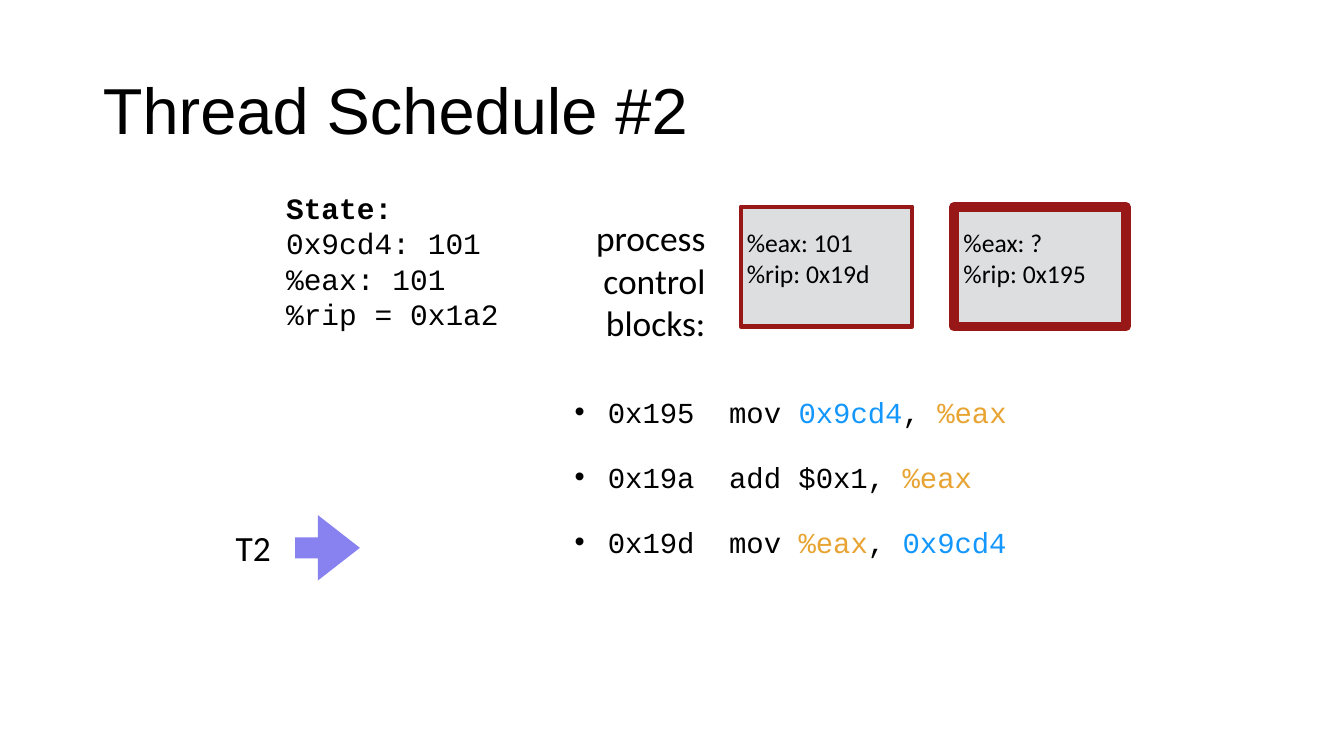
"""Build the slide that shows the second thread schedule."""
from pptx import Presentation
from pptx.dml.color import RGBColor
from pptx.enum.shapes import MSO_SHAPE as Kind
from pptx.enum.text import MSO_ANCHOR as Anchor, MSO_AUTO_SIZE as Fit, PP_ALIGN as Align
from pptx.util import Cm, Pt

BLACK = RGBColor(0x00, 0x00, 0x00)
GREY = RGBColor(0xDC, 0xDE, 0xE0)
RED = RGBColor(0x97, 0x18, 0x17)
VIOLET = RGBColor(0x88, 0x81, 0xF0)
BLUE = RGBColor(0x14, 0x97, 0xFC)
GOLD = RGBColor(0xE8, 0xA4, 0x33)

SIDES = ("margin_left", "margin_top", "margin_right", "margin_bottom")
HUES = {"0x9cd4": BLUE, "%eax": GOLD}


def style(font, face, size, color=BLACK, bold=False):
    form = {"name": face, "size": Pt(size), "bold": bold}
    for key, value in form.items():
        setattr(font, key, value)
    font.color.rgb = color


def label(place, lines, face, size, pad=0.1, anchor=Anchor.MIDDLE, align=Align.LEFT, pitch=None):
    frame = slide.shapes.add_textbox(*map(Cm, place)).text_frame
    form = {"word_wrap": False, "vertical_anchor": anchor, "text": "\n".join(lines)}
    form.update({side: Cm(pad) for side in SIDES})
    for key, value in form.items():
        setattr(frame, key, value)
    for para in frame.paragraphs:
        para.alignment = align
        para.line_spacing = pitch
        style(para.runs[0].font, face, size)
    return frame


deck = Presentation()
deck.slide_width, deck.slide_height = Cm(33.87), Cm(19.05)
slide = deck.slides.add_slide(deck.slide_layouts[1])
title, body = slide.placeholders

spots = ((title, (2.34, 1.02, 29.21, 3.68)), (body, (14.3, 9.83, 15.34, 3.84)))
for holder, place in spots:
    for key, value in zip(("left", "top", "width", "height"), place):
        setattr(holder, key, Cm(value))
    holder.text_frame.auto_size = Fit.NONE

title.text_frame.text = "Thread Schedule #2"
title.text_frame.vertical_anchor = Anchor.MIDDLE
head = title.text_frame.paragraphs[0]
head.alignment = Align.LEFT
head.line_spacing = 0.9
style(head.runs[0].font, "Arial", 46.4)

blocks = (
    (18.67, 3, 0.15, ("%eax: 101", "%rip: 0x19d")),
    (24.05, 7, 0.23, ("%eax: ?", "%rip: 0x195")),
)
for left, weight, shift, lines in blocks:
    block = slide.shapes.add_shape(Kind.RECTANGLE, Cm(left), Cm(5.21), Cm(4.32), Cm(3.02))
    block.shadow.inherit = False
    block.fill.solid()
    block.fill.fore_color.rgb = GREY
    block.line.color.rgb = RED
    block.line.width = Pt(weight)
    label((left + shift, 5.72, 3.12, 1.57), lines, "Calibri", 18.3, 0, Anchor.TOP)

state = label(
    (7.11, 4.67, 5.64, 3.81),
    ("State:", "0x9cd4: 101", "%eax: 101", "%rip = 0x1a2"),
    "Courier New", 21.1, pitch=Pt(25.2),
)
state.paragraphs[0].runs[0].font.bold = True
label((14.88, 5.33, 3, 3.45), ("process", "control", "blocks:"), "Calibri", 25.3, align=Align.RIGHT)
label((5.84, 13.16, 1.09, 1.27), ("T2",), "Calibri", 25.3)

arrow = slide.shapes.add_shape(Kind.RIGHT_ARROW, Cm(7.44), Cm(12.98), Cm(1.63), Cm(1.65))
arrow.adjustments[0] = 0.32
arrow.adjustments[1] = 0.65
arrow.shadow.inherit = False
arrow.fill.solid()
arrow.fill.fore_color.rgb = VIOLET
arrow.line.fill.background()

code = (
    ("0x195  mov ", "0x9cd4", ", ", "%eax"),
    ("0x19a  add $0x1, ", "%eax"),
    ("0x19d  mov ", "%eax", ", ", "0x9cd4"),
)
frame = body.text_frame
for side, pad in zip(SIDES, (0.18, 0.1, 0.18, 0.1)):
    setattr(frame, side, Cm(pad))
for row, parts in enumerate(code):
    para = frame.add_paragraph() if row else frame.paragraphs[0]
    props = para._p.get_or_add_pPr()
    props.set("marL", str(Cm(0.84)))
    props.set("indent", str(Cm(-0.84)))
    para.line_spacing = Pt(25.1)
    para.space_before = Pt(21.3 if row else 0)
    for part in parts:
        run = para.add_run()
        run.text = part
        style(run.font, "Courier New", 20.7, HUES.get(part, BLACK))

deck.save("out.pptx")
